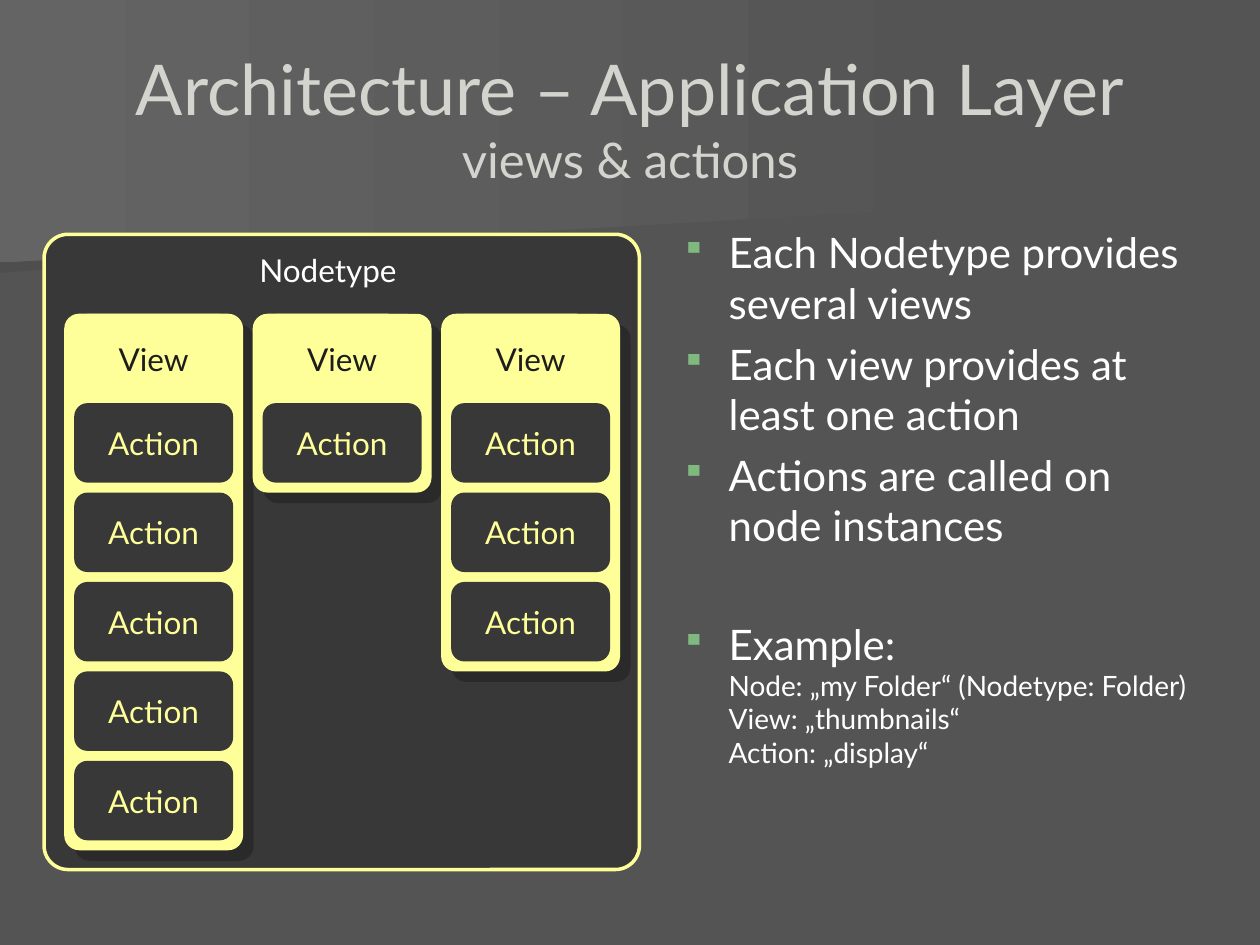
from dataclasses import dataclass

import lxml.etree
import pptx
import pptx.dml.color
import pptx.enum.shapes
import pptx.enum.text
import pptx.oxml.ns
import pptx.util

Pt = pptx.util.Pt
RGBColor = pptx.dml.color.RGBColor
Align = pptx.enum.text.PP_ALIGN
Anchor = pptx.enum.text.MSO_ANCHOR
qn = pptx.oxml.ns.qn

GREY = RGBColor(0x54, 0x54, 0x54)
BAND_DARK = RGBColor(0x4E, 0x4E, 0x4E)
BAND_LIGHT = RGBColor(0x64, 0x64, 0x64)
PANEL = RGBColor(0x38, 0x38, 0x38)
YELLOW = RGBColor(0xFF, 0xFF, 0x99)
INK = RGBColor(0x1D, 0x1D, 0x1D)
TITLE = RGBColor(0xD4, 0xD4, 0xCE)
WHITE = RGBColor(0xFF, 0xFF, 0xFF)
BULLET = RGBColor(0x7F, 0xB9, 0x7F)

FONT = "Lato"
VIEW_LEFT, VIEW_TOP, VIEW_PITCH = 36.7, 179.3, 107.7
VIEW_WIDTH, ROW, GAP = 102.2, 51.1, 5.7
VIEW_ACTIONS = (5, 1, 3)


@dataclass(frozen=True)
class Box:
    left: float
    top: float
    width: float
    height: float

    def lengths(self) -> tuple:
        return tuple(Pt(v) for v in (self.left, self.top, self.width, self.height))


@dataclass(frozen=True)
class Band:
    points: tuple
    end_color: RGBColor


@dataclass(frozen=True)
class Line:
    text: str
    size: float


@dataclass(frozen=True)
class Bullet:
    lines: tuple
    space_before: float


BANDS = (
    Band(((560.2, 110.2), (0, 156.2), (0, 72.7), (560.9, 72.7)), BAND_DARK),
    Band(((570.2, 116.6), (0, 149.8), (0, 0), (570.2, 0)), BAND_LIGHT),
)
BULLETS = (
    Bullet((Line("Each Nodetype provides several views", 24),), 0),
    Bullet((Line("Each view provides at least one action", 24),), 6),
    Bullet((Line("Actions are called on node instances", 24),), 6),
    Bullet((
        Line("Example:", 24),
        Line("Node: „my Folder“ (Nodetype: Folder)", 16),
        Line("View: „thumbnails“", 16),
        Line("Action: „display“", 16),
    ), 38.8),
)


def set_all(target, values: dict) -> None:
    for name, value in values.items():
        setattr(target, name, value)


def write_lines(paragraph, lines: tuple, color: RGBColor) -> None:
    for index, line in enumerate(lines):
        if index:
            paragraph.add_line_break()
            line_break = paragraph._p.findall(qn("a:br"))[-1]
            size = str(int(lines[index - 1].size * 100))
            lxml.etree.SubElement(line_break, qn("a:rPr"), sz=size)
        run = paragraph.add_run()
        run.text = line.text
        set_all(run.font, {"name": FONT, "size": Pt(line.size)})
        run.font.color.rgb = color


def add_text(slide, box: Box, lines: tuple, color: RGBColor, frame: dict, alignment) -> None:
    text_frame = slide.shapes.add_textbox(*box.lengths()).text_frame
    set_all(text_frame, frame)
    paragraph = text_frame.paragraphs[0]
    paragraph.alignment = alignment
    write_lines(paragraph, lines, color)


def add_band(slide, band: Band) -> None:
    builder = slide.shapes.build_freeform(*band.points[0], scale=Pt(1))
    builder.add_line_segments(band.points[1:], close=True)
    shape = builder.convert_to_shape()
    shape.shadow.inherit = False
    shape.line.fill.background()
    shape.fill.gradient()
    shape.fill.gradient_angle = 180
    for stop, color in zip(shape.fill.gradient_stops, (GREY, band.end_color)):
        stop.color.rgb = color


def add_rounded(slide, box: Box, fill: RGBColor, radius: float):
    kind = pptx.enum.shapes.MSO_SHAPE.ROUNDED_RECTANGLE
    shape = slide.shapes.add_shape(kind, *box.lengths())
    shape.adjustments[0] = radius / min(box.width, box.height)
    shape.shadow.inherit = False
    shape.fill.solid()
    shape.fill.fore_color.rgb = fill
    shape.line.fill.background()
    return shape


def add_label(slide, box: Box, text: str, fill: RGBColor, color: RGBColor) -> None:
    shape = add_rounded(slide, box, fill, box.height / 6)
    set_all(shape.text_frame, {"word_wrap": False, "vertical_anchor": Anchor.MIDDLE})
    paragraph = shape.text_frame.paragraphs[0]
    paragraph.alignment = Align.CENTER
    write_lines(paragraph, (Line(text, 18),), color)


def add_shadow(shape) -> None:
    effects = shape._element.spPr.find(qn("a:effectLst"))
    shadow = lxml.etree.SubElement(
        effects, qn("a:outerShdw"), dist=str(Pt(8.5)), dir="2700000", algn="tl", rotWithShape="0")
    color = lxml.etree.SubElement(shadow, qn("a:srgbClr"), val=str(INK))
    lxml.etree.SubElement(color, qn("a:alpha"), val="50000")


def add_view(slide, left: float, actions: int) -> None:
    card = Box(left, VIEW_TOP, VIEW_WIDTH, ROW * (actions + 1))
    add_shadow(add_rounded(slide, card, YELLOW, 8.5))
    inner_left, inner_width = left + GAP, VIEW_WIDTH - 2 * GAP
    add_label(slide, Box(inner_left, VIEW_TOP, inner_width, ROW), "View", YELLOW, INK)
    for row in range(1, actions + 1):
        box = Box(inner_left, VIEW_TOP + row * ROW, inner_width, ROW - GAP)
        add_label(slide, box, "Action", PANEL, YELLOW)


def add_bullets(slide, box: Box) -> None:
    text_frame = slide.shapes.add_textbox(*box.lengths()).text_frame
    text_frame.word_wrap = True
    for index, bullet in enumerate(BULLETS):
        paragraph = text_frame.add_paragraph() if index else text_frame.paragraphs[0]
        paragraph.space_before = Pt(bullet.space_before)
        properties = paragraph._p.get_or_add_pPr()
        set_all(paragraph, {"alignment": Align.LEFT})
        properties.set("marL", str(Pt(27)))
        properties.set("indent", str(-Pt(27)))
        color = lxml.etree.SubElement(properties, qn("a:buClr"))
        lxml.etree.SubElement(color, qn("a:srgbClr"), val=str(BULLET))
        lxml.etree.SubElement(properties, qn("a:buSzPct"), val="80000")
        lxml.etree.SubElement(properties, qn("a:buChar"), char="▪")
        write_lines(paragraph, bullet.lines, WHITE)


def main() -> None:
    presentation = pptx.Presentation()
    set_all(presentation, {"slide_width": Pt(720), "slide_height": Pt(540)})
    slide = presentation.slides.add_slide(presentation.slide_layouts[6])
    slide.background.fill.solid()
    slide.background.fill.fore_color.rgb = GREY
    for band in BANDS:
        add_band(slide, band)

    panel = add_rounded(slide, Box(25.2, 133.9, 340.2, 363), PANEL, 13.7)
    panel.line.color.rgb = YELLOW
    panel.line.width = Pt(2)

    title = (Line("Architecture – Application Layer", 40), Line("views & actions", 28))
    add_text(slide, Box(36, 21.6, 648, 90), title, TITLE,
             {"word_wrap": True, "vertical_anchor": Anchor.MIDDLE}, Align.CENTER)
    add_bullets(slide, Box(382.3, 126, 317.5, 354.2))
    add_text(slide, Box(141.1, 139.7, 97.2, 28.8), (Line("Nodetype", 18),), WHITE,
             {"word_wrap": False}, Align.LEFT)
    for column, actions in enumerate(VIEW_ACTIONS):
        add_view(slide, VIEW_LEFT + column * VIEW_PITCH, actions)
    presentation.save("out.pptx")


if __name__ == "__main__":
    main()
